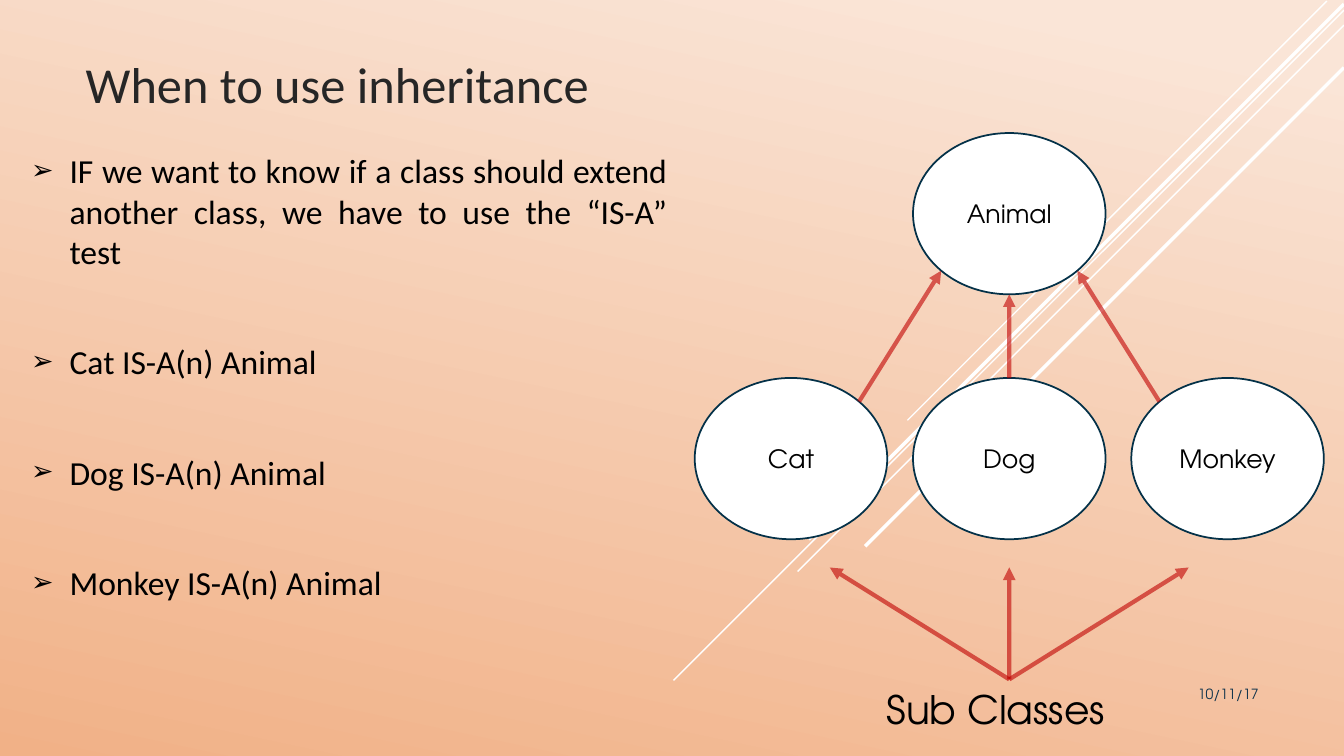
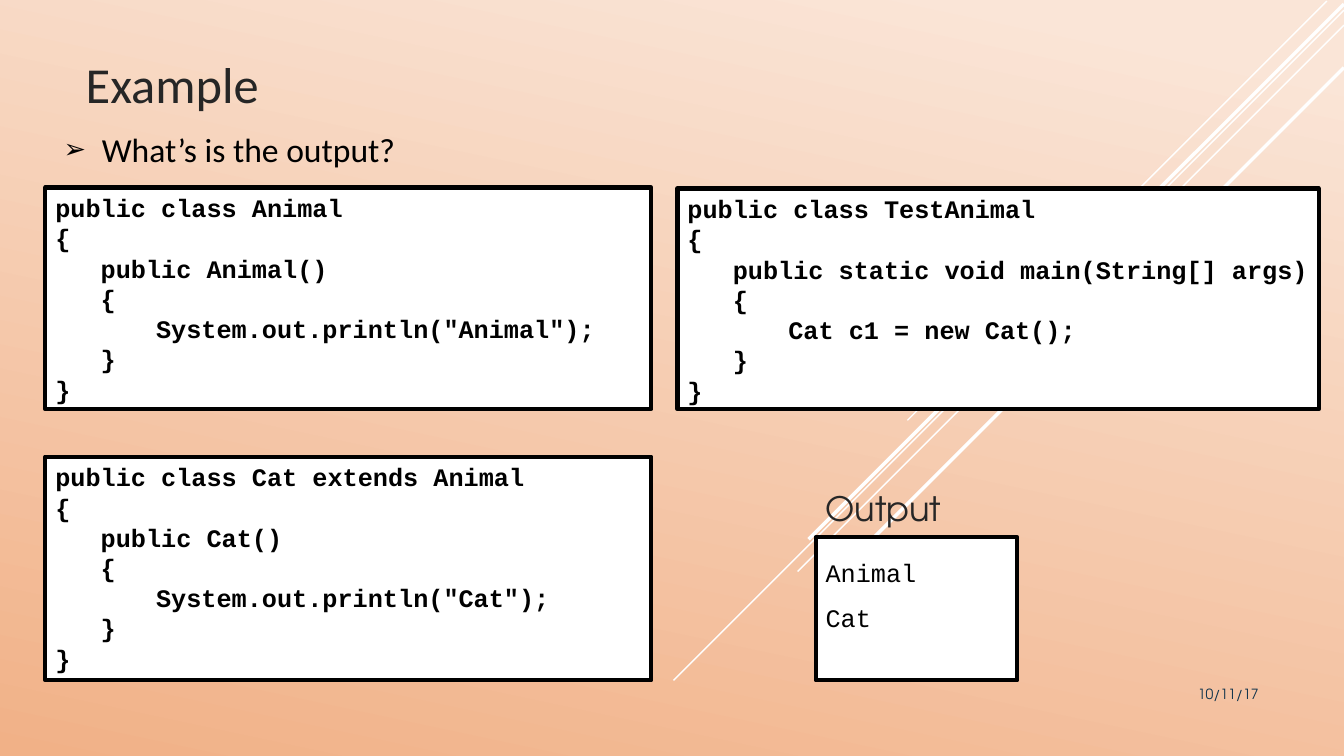
from dataclasses import dataclass
from math import sqrt

from lxml.etree import SubElement
from pptx import Presentation
from pptx.dml.color import RGBColor
from pptx.enum.shapes import MSO_CONNECTOR, MSO_SHAPE
from pptx.enum.text import MSO_ANCHOR, MSO_AUTO_SIZE, PP_ALIGN
from pptx.oxml.ns import qn
from pptx.util import Inches, Pt

WHITE, BLACK, DARK = "FFFFFF", "000000", "262626"
NAVY, OUTLINE, RED = "0A304A", "043148", "C00000"
GRADIENT = [(0.07, "FAE5D7"), (1, "F1B187")]
TEXT_FONT, CODE_FONT, DISPLAY_FONT = "Calibri", "Courier New", "TeX Gyre Adventor"
CODE_PITCH = 21.6
CODE_INDENTS = [0, 0.45, 1]
BULLET_INDENT = 0.38


@dataclass
class Box:
    left: float
    top: float
    width: float
    height: float

    @property
    def center(self):
        return self.left + self.width / 2

    @property
    def middle(self):
        return self.top + self.height / 2

    def inside(self, left, top, width, height):
        return Box(self.left + left, self.top + top, width, height)

    def inches(self):
        return [Inches(value) for value in (self.left, self.top, self.width, self.height)]


SLIDE = Box(0, 0, 13.33, 7.5)
TITLE = Box(0.75, 0.15, 10.8, 1.03)
DATE = Box(10.83, 6.75, 1.75, 0.4)


def rgb(value):
    return RGBColor.from_string(value)


def place(shape, box):
    shape.left, shape.top, shape.width, shape.height = box.inches()


def style(paragraph, font, size, color, alignment=PP_ALIGN.LEFT, bold=False):
    paragraph.alignment = alignment
    paragraph.font.name = font
    paragraph.font.size = Pt(size)
    paragraph.font.color.rgb = rgb(color)
    paragraph.font.bold = bold


def add_line(slide, start, end, color, weight):
    line = slide.shapes.add_connector(
        MSO_CONNECTOR.STRAIGHT, *[Inches(value) for value in (*start, *end)]
    )
    line.line.color.rgb = rgb(color)
    line.line.width = Pt(weight)
    SubElement(line.element.spPr, qn("a:effectLst"))
    return line


def add_arrow(slide, start, end):
    arrow = add_line(slide, start, end, RED, 3)
    for color in arrow.element.iter(qn("a:srgbClr")):
        SubElement(color, qn("a:alpha"), val="60000")
    SubElement(arrow.line._get_or_add_ln(), qn("a:tailEnd"), type="triangle")
    return arrow


def add_label(slide, box, text, font, size, color, alignment, wrap=True):
    label = slide.shapes.add_textbox(*box.inches())
    label.text_frame.word_wrap = wrap
    paragraph = label.text_frame.paragraphs[0]
    paragraph.text = text
    style(paragraph, font, size, color, alignment)


def add_panel(slide, kind, box, outline, weight):
    panel = slide.shapes.add_shape(kind, *box.inches())
    panel.shadow.inherit = False
    panel.fill.solid()
    panel.fill.fore_color.rgb = rgb(WHITE)
    panel.line.color.rgb = rgb(outline)
    panel.line.width = Pt(weight)
    return panel


def add_code(slide, box, lines, pitch=CODE_PITCH, bold=True):
    panel = add_panel(slide, MSO_SHAPE.RECTANGLE, box, BLACK, 3)
    frame = panel.text_frame
    frame.vertical_anchor = MSO_ANCHOR.TOP
    frame.margin_right = 0
    frame.text = "\n".join(text for level, text in lines)
    for paragraph, (level, text) in zip(frame.paragraphs, lines):
        style(paragraph, CODE_FONT, 18, BLACK, bold=bold)
        paragraph.line_spacing = Pt(pitch)
        paragraph._p.get_or_add_pPr().set("marL", str(Inches(CODE_INDENTS[level])))


def class_lines(header, member, statement):
    return [(0, header), (0, "{"), (1, member), (1, "{"),
            (2, statement), (1, "}"), (0, "}")]


def add_bullets(slide, box, items):
    body = slide.placeholders[1]
    place(body, box)
    frame = body.text_frame
    frame.text = "\n".join(items)
    frame.auto_size = MSO_AUTO_SIZE.NONE
    for paragraph in frame.paragraphs:
        style(paragraph, TEXT_FONT, 24, BLACK, PP_ALIGN.JUSTIFY)
        paragraph.space_before = Pt(0)
        paragraph.space_after = Pt(50)
        properties = paragraph._p.get_or_add_pPr()
        properties.set("marL", str(Inches(BULLET_INDENT)))
        properties.set("indent", str(-Inches(BULLET_INDENT)))
        bullet_color = SubElement(properties, qn("a:buClr"))
        SubElement(bullet_color, qn("a:srgbClr"), val=BLACK)
        SubElement(properties, qn("a:buSzPct"), val="80000")
        SubElement(properties, qn("a:buChar"), char="➢")
        for run_default in properties.findall(qn("a:defRPr")):
            properties.append(run_default)


def add_class_diagram(slide, box):
    node_width, node_height, child_row = 1.91, 1.6, 2.43
    column = (box.width - node_width) / 2

    def add_node(text, index, top):
        node_box = box.inside(index * column, top, node_width, node_height)
        node = add_panel(slide, MSO_SHAPE.OVAL, node_box, OUTLINE, 1.25)
        node.text_frame.word_wrap = False
        node.text_frame.vertical_anchor = MSO_ANCHOR.MIDDLE
        paragraph = node.text_frame.paragraphs[0]
        paragraph.text = text
        style(paragraph, DISPLAY_FONT, 18, BLACK, PP_ALIGN.CENTER)
        return node, node_box

    def rim(node_box, side, direction):
        reach = 1 / sqrt(2) if side else 1
        return (node_box.center + side * node_box.width / 2 / sqrt(2),
                node_box.middle + direction * reach * node_box.height / 2)

    parent, parent_box = add_node("Animal", 1, 0)
    fan_start = (box.center, box.top + 5.42)
    for index, name in enumerate(["Cat", "Dog", "Monkey"]):
        side = index - 1
        child, child_box = add_node(name, index, child_row)
        arrow = add_arrow(slide, rim(child_box, -side, -1), rim(parent_box, side, 1))
        if side == 0:
            arrow.begin_connect(child, 0)
        add_arrow(slide, fan_start, (box.center + side * 1.78, box.top + 4.31))
    add_label(slide, box.inside(1.79, 5.43, 2.39, 0.57), "Sub Classes",
              DISPLAY_FONT, 28, BLACK, PP_ALIGN.CENTER, wrap=False)


def add_output(slide, box, lines):
    heading_height = 0.54
    add_label(slide, box.inside(0, 0, box.width, heading_height), "Output",
              DISPLAY_FONT, 24, DARK, PP_ALIGN.JUSTIFY)
    panel_box = box.inside(0, heading_height, box.width, box.height - heading_height)
    add_code(slide, panel_box, [(0, line) for line in lines], CODE_PITCH * 1.5, False)


def add_base_slide(presentation, title):
    slide = presentation.slides.add_slide(presentation.slide_layouts[1])
    heading = slide.shapes.title
    heading.text_frame.text = title
    heading.text_frame.vertical_anchor = MSO_ANCHOR.BOTTOM
    heading.text_frame.auto_size = MSO_AUTO_SIZE.NONE
    style(heading.text_frame.paragraphs[0], TEXT_FONT, 36, DARK)
    add_label(slide, DATE, "10/11/17", DISPLAY_FONT, 10, NAVY, PP_ALIGN.RIGHT)
    return slide


def set_background(master):
    fill = master.background.fill
    fill.gradient()
    fill.gradient_angle = 258
    for stop, (position, color) in zip(fill.gradient_stops, GRADIENT):
        stop.position = position
        stop.color.rgb = rgb(color)


def add_master_rays(master, slide):
    rays = [(13.16, 0.01, 4.16, 1), (13.33, 0.1, 6.65, 1), (13.33, 0.25, 5.42, 1),
            (13.33, 0.04, 5.31, 2.5), (13.33, 0.67, 4.75, 2.5)]
    for number, (left, top, reach, weight) in enumerate(rays):
        ray = add_line(slide, (left, top), (left - reach, top + reach), WHITE, weight)
        ray.element.nvCxnSpPr.cNvPr.set("id", str(100 + number))
        master.element.cSld.spTree.append(ray.element)


def build_inheritance_slide(presentation):
    slide = add_base_slide(presentation, "When to use inheritance")
    add_bullets(slide, Box(0.21, 1.44, 6.51, 5.71), [
        "IF we want to know if a class should extend another class, "
        "we have to use the “IS-A” test",
        "Cat IS-A(n) Animal",
        "Dog IS-A(n) Animal",
        "Monkey IS-A(n) Animal",
    ])
    add_class_diagram(slide, Box(6.89, 1.32, 6.24, 6))
    return slide


def build_example_slide(presentation):
    slide = add_base_slide(presentation, "Example")
    add_bullets(slide, Box(0.53, 1.23, 12.37, 0.58), ["What’s is the output?"])
    panels = [
        (Box(0.45, 1.86, 6.01, 2.2), "public class Animal", "public Animal()",
         'System.out.println("Animal");'),
        (Box(0.45, 4.53, 6.01, 2.22), "public class Cat extends Animal", "public Cat()",
         'System.out.println("Cat");'),
        (Box(6.72, 1.87, 6.36, 2.19), "public class TestAnimal",
         "public static void main(String[] args)", "Cat c1 = new Cat();"),
    ]
    for box, *parts in panels:
        add_code(slide, box, class_lines(*parts))
    add_output(slide, Box(8.09, 4.79, 2, 1.96), ["Animal", "Cat"])


def main():
    presentation = Presentation()
    presentation.slide_width = Inches(SLIDE.width)
    presentation.slide_height = Inches(SLIDE.height)
    set_background(presentation.slide_master)
    place(presentation.slide_layouts[1].placeholders[0], TITLE)
    first_slide = build_inheritance_slide(presentation)
    add_master_rays(presentation.slide_master, first_slide)
    build_example_slide(presentation)
    presentation.save("out.pptx")


if __name__ == "__main__":
    main()
